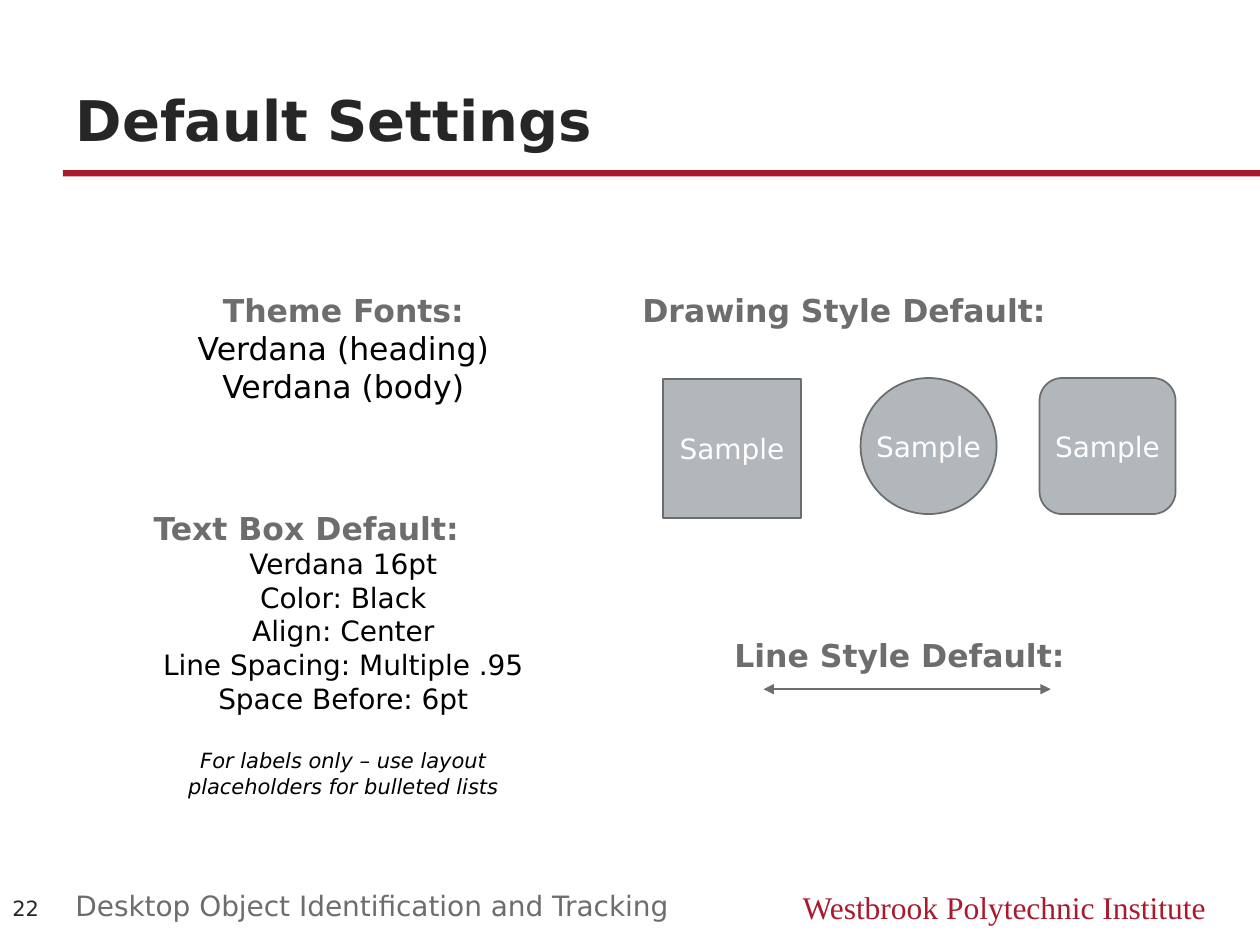
import pptx
import pptx.util
import pptx.dml.color
import pptx.enum.shapes
import pptx.enum.text
import pptx.oxml
import pptx.oxml.ns

Pt = pptx.util.Pt
Shape = pptx.enum.shapes.MSO_SHAPE
Align = pptx.enum.text.PP_ALIGN
Anchor = pptx.enum.text.MSO_ANCHOR

COLS, ROWS = 100, 75
RED, GREY, SILVER = "AB192D", "6D6D6D", "B2B7BB"
DARK, BLACK, WHITE = "262626", "000000", "FFFFFF"


def tint(text):
    return pptx.dml.color.RGBColor.from_string(text)


class Page:
    """Holds the style and the current slide; places are in grid cells."""

    font = "DejaVu Sans"

    def __init__(self, deck):
        self.cell = deck.slide_width / COLS, deck.slide_height / ROWS
        self.slide = deck.slides.add_slide(deck.slide_layouts[5])
        self.shapes = self.slide.shapes

    def place(self, *spots):
        """Turn column, row pairs into slide lengths."""
        return [round(spot * self.cell[n % 2]) for n, spot in enumerate(spots)]

    def fill_text(self, frame, lines, align=Align.LEFT, anchor=Anchor.TOP, wrap=True):
        """Fill a frame with lines given as (text, size, colour, font options)."""
        frame.word_wrap = wrap
        frame.vertical_anchor = anchor
        frame.text = "\n".join(line[0] for line in lines)
        for para, (_, size, color, *more) in zip(frame.paragraphs, lines):
            para.alignment = align
            for run in para.runs:
                font = run.font
                font.name, font.size = self.font, Pt(size)
                font.color.rgb = tint(color)
                for name, value in (more[0] if more else {}).items():
                    setattr(font, name, value)

    def title(self, text, box):
        head = self.shapes.title
        head.left, head.top, head.width, head.height = self.place(*box)
        self.fill_text(head.text_frame, [(text, 32, DARK, {"bold": True})],
                       anchor=Anchor.BOTTOM)

    def label(self, box, lines, **look):
        frame = self.shapes.add_textbox(*self.place(*box)).text_frame
        self.fill_text(frame, lines, **look)
        return frame

    def block(self, kind, box, fill, edge=None):
        item = self.shapes.add_shape(kind, *self.place(*box))
        item.shadow.inherit = False
        item.fill.solid()
        item.fill.fore_color.rgb = tint(fill)
        if edge:
            item.line.color.rgb = tint(edge)
            item.line.width = Pt(1)
        else:
            item.line.fill.background()
        return item

    def sample(self, kind, box):
        item = self.block(kind, box, SILVER, GREY)
        self.fill_text(item.text_frame, [("Sample", 16, WHITE)],
                       Align.CENTER, Anchor.MIDDLE, False)

    def arrow(self, ends):
        """Draw a line with a head at both ends."""
        kind = pptx.enum.shapes.MSO_CONNECTOR.STRAIGHT
        link = self.shapes.add_connector(kind, *self.place(*ends))
        link.line.color.rgb = tint(GREY)
        link.line.width = Pt(1.5)
        props = link._element.spPr
        pen = props.find(pptx.oxml.ns.qn("a:ln"))
        space = pptx.oxml.ns.nsdecls("a")
        for tag in ("a:headEnd", "a:tailEnd"):
            pen.append(pptx.oxml.parse_xml(f'<{tag} {space} type="triangle"/>'))
        props.append(pptx.oxml.parse_xml(f"<a:effectLst {space}/>"))


def heading(text):
    return text, 18, GREY, {"bold": True}


def main():
    deck = pptx.Presentation()
    deck.slide_width, deck.slide_height = pptx.util.Inches(10), pptx.util.Inches(7.5)
    page = Page(deck)

    page.block(Shape.RECTANGLE, (5, 13.5, 95, 0.5), RED)
    page.title("Default Settings", (5, 3.8, 90, 8.8))

    page.label((11.2, 22.6, 32.1, 10.1),
               [heading("Theme Fonts:"), ("Verdana (heading)", 18, BLACK),
                ("Verdana (body)", 18, BLACK)], align=Align.CENTER)

    facts = ("Verdana 16pt", "Color: Black", "Align: Center",
             "Line Spacing: Multiple .95", "Space Before: 6pt")
    note = "For labels only – use layout placeholders for bulleted lists"
    frame = page.label((11.2, 39.9, 32.1, 24.2),
                       [heading("Text Box Default:"),
                        *((fact, 16, BLACK) for fact in facts),
                        (note, 12, BLACK, {"italic": True})], align=Align.CENTER)
    frame.paragraphs[0].alignment = Align.LEFT
    frame.paragraphs[-1].space_before = Pt(19)

    page.label((50, 22.6, 44, 6.3), [heading("Drawing Style Default:")])
    page.sample(Shape.RECTANGLE, (52.6, 30.1, 11, 11))
    for kind, left in ((Shape.OVAL, 68.3), (Shape.ROUNDED_RECTANGLE, 82.5)):
        page.sample(kind, (left, 30, 10.8, 10.8))

    page.label((57.3, 50, 29.4, 6.3), [heading("Line Style Default:")])
    page.arrow((60.6, 54.7, 83.4, 54.7))

    page.label((0, 69.9, 5, 4.3), [("22", 12, DARK)], anchor=Anchor.MIDDLE)
    page.label((5, 70, 55.8, 3.3),
               [("Desktop Object Identification and Tracking", 16, GREY)])
    page.label((60, 70, 36.7, 4),
               [("Westbrook Polytechnic Institute", 18, RED,
                 {"name": "Times New Roman"})], align=Align.RIGHT)

    deck.save("out.pptx")


if __name__ == "__main__":
    main()
